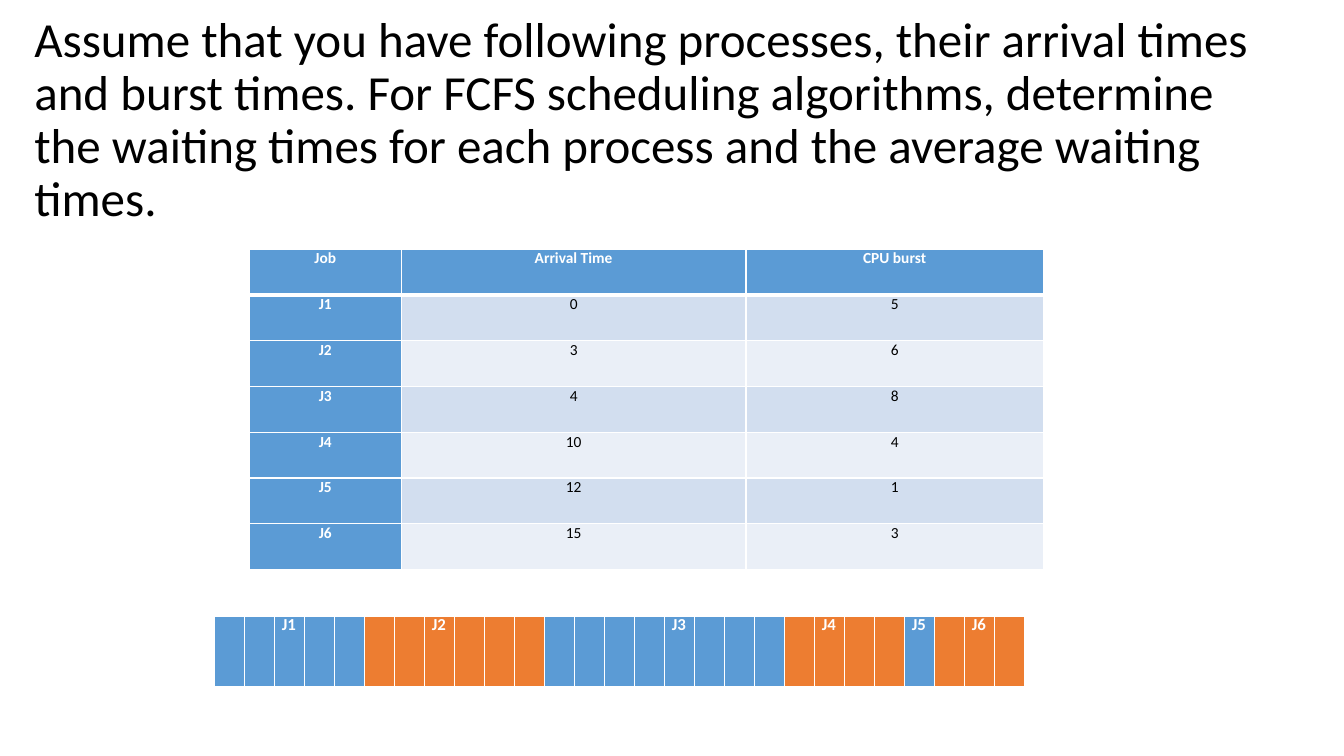
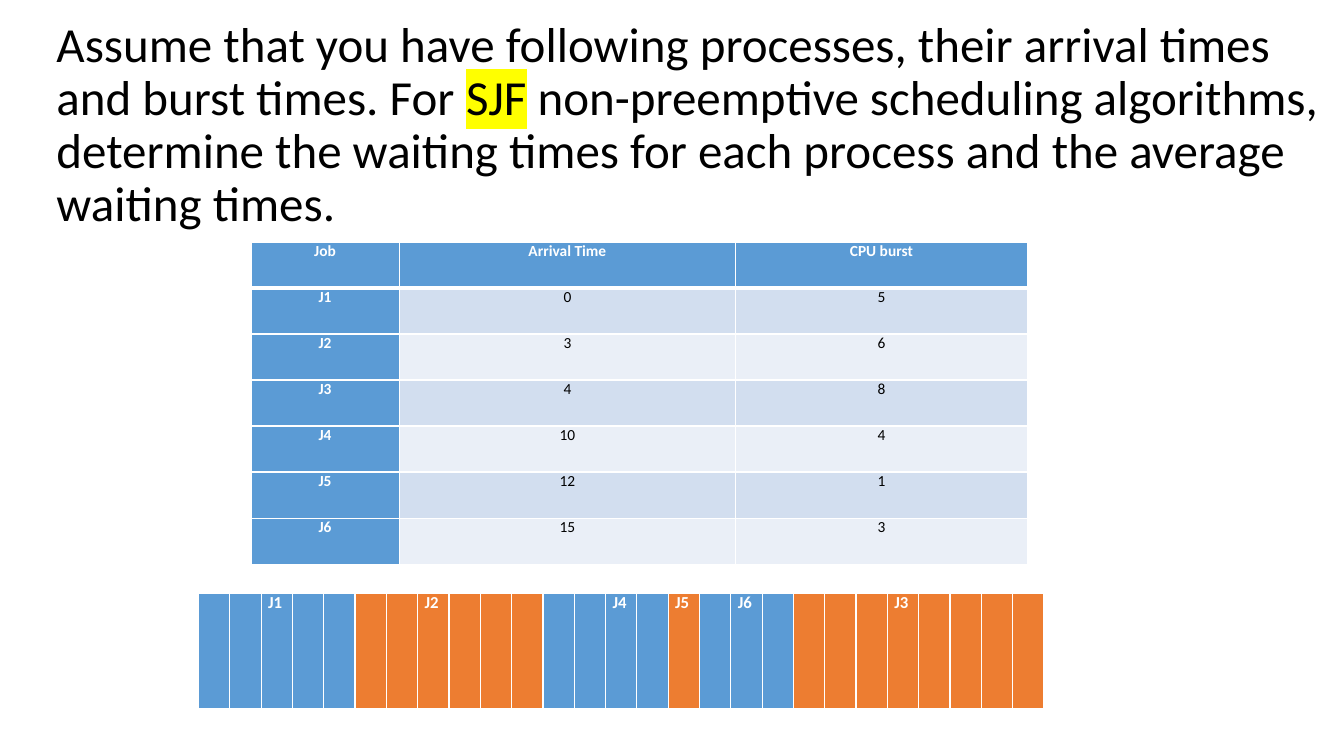
from lxml.etree import SubElement
from pptx import Presentation
from pptx.dml.color import RGBColor
from pptx.enum.text import MSO_ANCHOR, MSO_AUTO_SIZE, PP_ALIGN
from pptx.oxml.ns import qn
from pptx.util import Pt

# Shared style
FONT = "Calibri"
BLACK = RGBColor(0x00, 0x00, 0x00)
WHITE = RGBColor(0xFF, 0xFF, 0xFF)
BLUE = RGBColor(0x5B, 0x9B, 0xD5)
ORANGE = RGBColor(0xED, 0x7D, 0x31)
DARK_BAND = RGBColor(0xD2, 0xDE, 0xEF)
LIGHT_BAND = RGBColor(0xEA, 0xEF, 0xF7)
YELLOW = RGBColor(0xFF, 0xFF, 0x00)

# Job name, arrival time, CPU burst
JOBS = [("J1", 0, 5), ("J2", 3, 6), ("J3", 4, 8), ("J4", 10, 4), ("J5", 12, 1), ("J6", 15, 3)]
HEADINGS = ("Job", "Arrival Time", "CPU burst")
BURSTS = {job: burst for job, _, burst in JOBS}


def add_run(paragraph, text, size, color, bold=False, highlight=None):
    run = paragraph.add_run()
    run.text = text
    font = run.font
    font.name, font.size, font.bold = FONT, Pt(size), bold
    font.color.rgb = color
    if highlight is not None:
        properties = run._r.get_or_add_rPr()
        element = SubElement(properties, qn("a:highlight"))
        SubElement(element, qn("a:srgbClr"), val=str(highlight))
        properties.find(qn("a:solidFill")).addnext(element)


def add_title(slide, left, top, width, height, parts):
    """Fill the title with (text, highlight) parts."""
    title = slide.shapes.title
    title.left, title.top, title.width, title.height = map(Pt, (left, top, width, height))
    frame = title.text_frame
    frame.word_wrap = True
    frame.auto_size = MSO_AUTO_SIZE.NONE
    frame.vertical_anchor = MSO_ANCHOR.MIDDLE
    paragraph = frame.paragraphs[0]
    paragraph.alignment = PP_ALIGN.LEFT
    paragraph.line_spacing = 0.9
    for text, highlight in parts:
        add_run(paragraph, text, 35, BLACK, highlight=highlight)


def add_grid(slide, left, top, column_widths, row_height, row_count):
    frame = slide.shapes.add_table(
        row_count, len(column_widths), Pt(left), Pt(top),
        Pt(sum(column_widths)), Pt(row_height * row_count))
    table = frame.table
    table.horz_banding = False
    for column, width in zip(table.columns, column_widths):
        column.width = Pt(width)
    for row in table.rows:
        row.height = Pt(row_height)
    return table


def style_cell(cell, fill, top_line=1, bottom_line=1):
    cell.margin_left = cell.margin_right = Pt(5)
    cell.margin_top = cell.margin_bottom = Pt(0)
    properties = cell._tc.get_or_add_tcPr()
    for side, width in (("L", 1), ("R", 1), ("T", top_line), ("B", bottom_line)):
        line = SubElement(properties, qn(f"a:ln{side}"), w=str(Pt(width)))
        line_fill = SubElement(line, qn("a:solidFill"))
        SubElement(line_fill, qn("a:srgbClr"), val=str(WHITE))
    cell.fill.solid()
    cell.fill.fore_color.rgb = fill


def add_job_table(slide, left, top, column_widths, row_height):
    rows = [HEADINGS] + JOBS
    table = add_grid(slide, left, top, column_widths, row_height, len(rows))
    table.first_col = True
    for row_index, values in enumerate(rows):
        band = DARK_BAND if row_index % 2 else LIGHT_BAND
        for column_index, value in enumerate(values):
            cell = table.cell(row_index, column_index)
            is_heading = row_index == 0 or column_index == 0
            style_cell(cell, BLUE if is_heading else band,
                       top_line=3 if row_index == 1 else 1,
                       bottom_line=3 if row_index == 0 else 1)
            paragraph = cell.text_frame.paragraphs[0]
            paragraph.alignment = PP_ALIGN.CENTER
            add_run(paragraph, str(value), 11, WHITE if is_heading else BLACK, is_heading)


def add_gantt(slide, left, top, unit_width, height, schedule):
    """Draw one cell per time unit; schedule holds (job, unit with the label)."""
    table = add_grid(slide, left, top, [unit_width] * sum(BURSTS.values()), height, 1)
    start = 0
    for order, (job, label_unit) in enumerate(schedule):
        for unit in range(BURSTS[job]):
            cell = table.cell(0, start + unit)
            style_cell(cell, ORANGE if order % 2 else BLUE, bottom_line=3)
            if unit == label_unit:
                paragraph = cell.text_frame.paragraphs[0]
                paragraph.alignment = PP_ALIGN.JUSTIFY
                paragraph.line_spacing = 0.9
                add_run(paragraph, job, 12, WHITE, True)
        start += BURSTS[job]


def main():
    presentation = Presentation()
    presentation.slide_width, presentation.slide_height = Pt(960), Pt(540)
    title_only = presentation.slide_layouts[5]
    opening = ("Assume that you have following processes, their arrival times "
               "and burst times. For ")
    closing = (" scheduling algorithms, determine the waiting times for each process "
               "and the average waiting times.")

    # First come, first served
    slide = presentation.slides.add_slide(title_only)
    add_title(slide, 17.3, 28.8, 904.3, 115.2, [(opening + "FCFS" + closing, None)])
    add_job_table(slide, 178, 178, (108.7, 246.2, 212.4), 32.7)
    add_gantt(slide, 153.4, 440, 21.44, 51,
              [("J1", 2), ("J2", 2), ("J3", 4), ("J4", 1), ("J5", 0), ("J6", 1)])

    # Shortest job first
    slide = presentation.slides.add_slide(title_only)
    add_title(slide, 33.1, 28.8, 919.4, 123.1,
              [(opening, None), ("SJF", YELLOW), (" non-preemptive" + closing, None)])
    add_job_table(slide, 179.3, 172.8, (105.8, 240.5, 208.1), 32.9)
    add_gantt(slide, 141.8, 424.1, 22.37, 82.8,
              [("J1", 2), ("J2", 2), ("J4", 2), ("J5", 0), ("J6", 1), ("J3", 3)])

    presentation.save("out.pptx")


if __name__ == "__main__":
    main()
